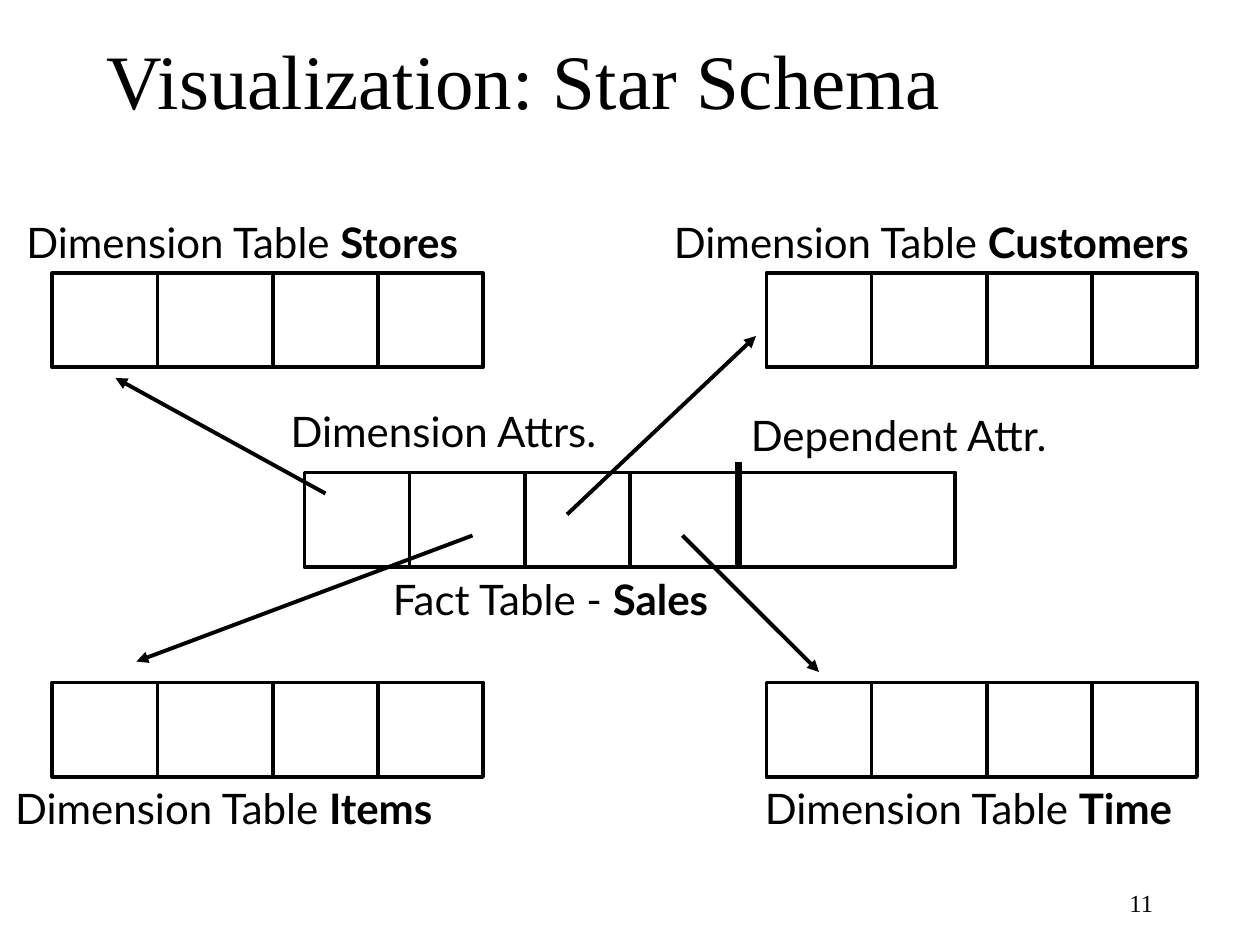
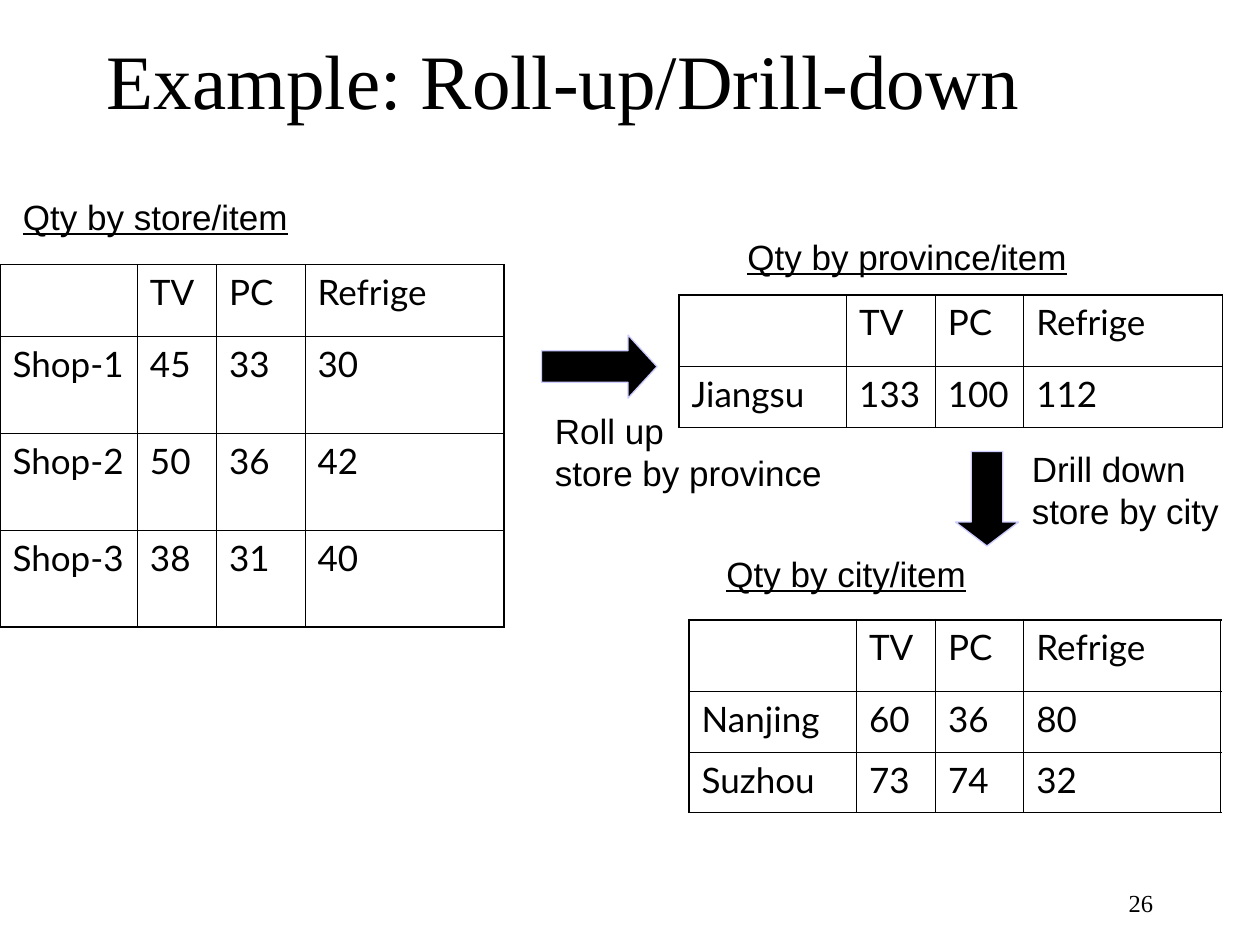
from dataclasses import dataclass

from lxml import etree
from pptx import Presentation
from pptx.dml.color import RGBColor
from pptx.enum import shapes, text
from pptx.oxml import ns
from pptx.util import Pt


@dataclass(frozen=True)
class Theme:
    ink: RGBColor = RGBColor(0, 0, 0)
    arrow_edge: RGBColor = RGBColor(0xCC, 0xCC, 0xFF)
    heading_font: str = "Times New Roman"
    body_font: str = "Lato"
    caption_font: str = "Arial"
    title_size: float = 44
    label_size: float = 24
    body_size: float = 20
    number_size: float = 14
    rule: float = 2.25
    thick_rule: float = 4.5
    arrow_rule: float = 0.75
    outer_border: float = 1.08
    inner_border: float = 0.45


THEME = Theme()
SCHEMA_TABLE_HEIGHT = 54
DIMENSION_TABLE_WIDTH = 246
ATTRIBUTE_OFFSETS = (60, 126, 186)


def points(*lengths):
    return [Pt(length) for length in lengths]


def write(frame, words, *, bold_end="", font=THEME.body_font, size=THEME.body_size,
          underline=None, align=None, anchor=None):
    """Fill a text frame with one paragraph; bold_end follows words in bold."""
    frame.word_wrap = True
    frame.vertical_anchor = anchor
    paragraph = frame.paragraphs[0]
    paragraph.alignment = align
    pieces = [(line, None) for line in words.split("\n")]
    if bold_end:
        pieces.append((bold_end, True))
    for index, (piece, bold) in enumerate(pieces):
        if index and not bold:
            paragraph.add_line_break()
        run = paragraph.add_run()
        run.text = piece
        run.font.name = font
        run.font.size = Pt(size)
        run.font.bold = bold
        run.font.underline = underline
        run.font.color.rgb = THEME.ink


def add_text(slide, words, box, **style):
    write(slide.shapes.add_textbox(*points(*box)).text_frame, words, **style)


def add_label(slide, words, left, top, width, bold_end=""):
    add_text(slide, words, (left, top, width, 36), bold_end=bold_end,
             size=THEME.label_size)


def add_caption(slide, words, left, top, width, height=32, underline=None):
    add_text(slide, words, (left, top, width, height), font=THEME.caption_font,
             underline=underline)


def add_titled_slide(deck, title, number):
    slide = deck.slides.add_slide(deck.slide_layouts[6])
    add_text(slide, title, (54, 0, 612, 90), font=THEME.heading_font,
             size=THEME.title_size, anchor=text.MSO_ANCHOR.MIDDLE)
    add_text(slide, number, (516, 504, 150, 24), font=THEME.heading_font,
             size=THEME.number_size, align=text.PP_ALIGN.RIGHT)
    return slide


def add_line(slide, start, end, width=THEME.rule, arrow=False):
    line = slide.shapes.add_connector(shapes.MSO_CONNECTOR.STRAIGHT,
                                      *points(*start, *end))
    line.line.color.rgb = THEME.ink
    line.line.width = Pt(width)
    if arrow:
        etree.SubElement(line.line._get_or_add_ln(), ns.qn("a:tailEnd"), type="triangle")
    etree.SubElement(line._element.spPr, ns.qn("a:effectLst"))


def add_schema_table(slide, left, top, width=DIMENSION_TABLE_WIDTH):
    """Draw an outlined row of attributes, split by vertical lines."""
    outline = slide.shapes.add_shape(shapes.MSO_SHAPE.RECTANGLE,
                                     *points(left, top, width, SCHEMA_TABLE_HEIGHT))
    outline.shadow.inherit = False
    outline.fill.background()
    outline.line.color.rgb = THEME.ink
    outline.line.width = Pt(THEME.rule)
    for offset in ATTRIBUTE_OFFSETS:
        add_line(slide, (left + offset, top), (left + offset, top + SCHEMA_TABLE_HEIGHT))


def add_block_arrow(slide, kind, box, head):
    arrow = slide.shapes.add_shape(kind, *points(*box))
    arrow.adjustments[0] = 0.5
    arrow.adjustments[1] = head
    arrow.shadow.inherit = False
    arrow.fill.solid()
    arrow.fill.fore_color.rgb = THEME.ink
    arrow.line.color.rgb = THEME.arrow_edge
    arrow.line.width = Pt(THEME.arrow_rule)


def set_borders(cell, widths):
    """Set the left, right, top and bottom borders, in that order."""
    properties = cell._tc.get_or_add_tcPr()
    for index, (side, width) in enumerate(zip("LRTB", widths)):
        border = etree.Element(ns.qn(f"a:ln{side}"), w=str(Pt(width)))
        fill = etree.SubElement(border, ns.qn("a:solidFill"))
        etree.SubElement(fill, ns.qn("a:srgbClr"), val=str(THEME.ink))
        properties.insert(index, border)


def add_quantity_table(slide, left, top, column_widths, row_heights, records,
                       bottom_border=THEME.inner_border):
    rows = [("", "TV", "PC", "Refrige"), *records]
    table = slide.shapes.add_table(
        len(rows), len(column_widths),
        *points(left, top, sum(column_widths), sum(row_heights))).table
    table.first_row = table.horz_banding = False
    for column, width in zip(table.columns, column_widths):
        column.width = Pt(width)
    outer, inner = THEME.outer_border, THEME.inner_border
    last_row, last_column = len(rows) - 1, len(column_widths) - 1
    for r, (values, height) in enumerate(zip(rows, row_heights)):
        table.rows[r].height = Pt(height)
        for c, value in enumerate(values):
            cell = table.cell(r, c)
            cell.fill.background()
            set_borders(cell, (outer if c == 0 else inner,
                               outer if c == last_column else inner,
                               outer if r == 0 else inner,
                               bottom_border if r == last_row else inner))
            if value:
                write(cell.text_frame, str(value))


def build_star_schema(deck):
    slide = add_titled_slide(deck, "Visualization: Star Schema", "11")
    add_schema_table(slide, 174, 270, width=372)
    add_line(slide, (422, 264), (422, 324.5), width=THEME.thick_rule)
    for top in (156, 390):
        for left in (30, 438):
            add_schema_table(slide, left, top)

    for attribute, dimension in (((186, 282), (66, 216)), ((270, 306), (78, 378)),
                                 ((324, 294), (432, 192)), ((390, 306), (468, 384))):
        add_line(slide, attribute, dimension, arrow=True)

    for name, left, top, width in (("Items", 1.5, 443.5, 279), ("Time", 430, 443.5, 275),
                                   ("Customers", 378, 120, 351), ("Stores", 8, 120, 285)):
        add_label(slide, "Dimension Table ", left, top, width, bold_end=name)
    add_label(slide, "Fact Table - ", 217.5, 324, 210, bold_end="Sales")
    add_label(slide, "Dimension Attrs.", 159, 228, 202)
    add_label(slide, "Dependent Attr.", 422, 230.5, 195)


def build_roll_up(deck):
    slide = add_titled_slide(deck, "Example: Roll-up/Drill-down", "26")
    add_caption(slide, "Qty by store/item", 6, 108, 414, underline=True)
    add_quantity_table(slide, 0, 151.2, (78.5, 45.2, 50.6, 113.7), (41, 55.4, 55.4, 55.4),
                       [("Shop-1", 45, 33, 30), ("Shop-2", 50, 36, 42),
                        ("Shop-3", 38, 31, 40)],
                       bottom_border=THEME.outer_border)

    add_caption(slide, "Qty by province/item", 420, 131, 300, underline=True)
    add_block_arrow(slide, shapes.MSO_SHAPE.RIGHT_ARROW, (309.5, 191.5, 66, 36), 0.46)
    add_caption(slide, "Roll up\nstore by province", 310, 230.5, 170, height=55)
    add_quantity_table(slide, 388, 168.5, (95.8, 50.6, 50.6, 113.5), (41, 34.6),
                       [("Jiangsu", 133, 100, 112)])

    add_caption(slide, "Qty by city/item", 408, 312, 300, underline=True)
    add_caption(slide, "Drill down\nstore by city", 582.5, 252, 126, height=55)
    add_block_arrow(slide, shapes.MSO_SHAPE.DOWN_ARROW, (546, 258, 36, 54), 0.38)
    add_quantity_table(slide, 393.8, 354.2, (95.6, 45.2, 50.5, 112.5), (41, 34.6, 34.6),
                       [("Nanjing", 60, 36, 80), ("Suzhou", 73, 74, 32)])


def main():
    deck = Presentation()
    deck.slide_width, deck.slide_height = points(720, 540)
    build_star_schema(deck)
    build_roll_up(deck)
    deck.save("out.pptx")


if __name__ == "__main__":
    main()
